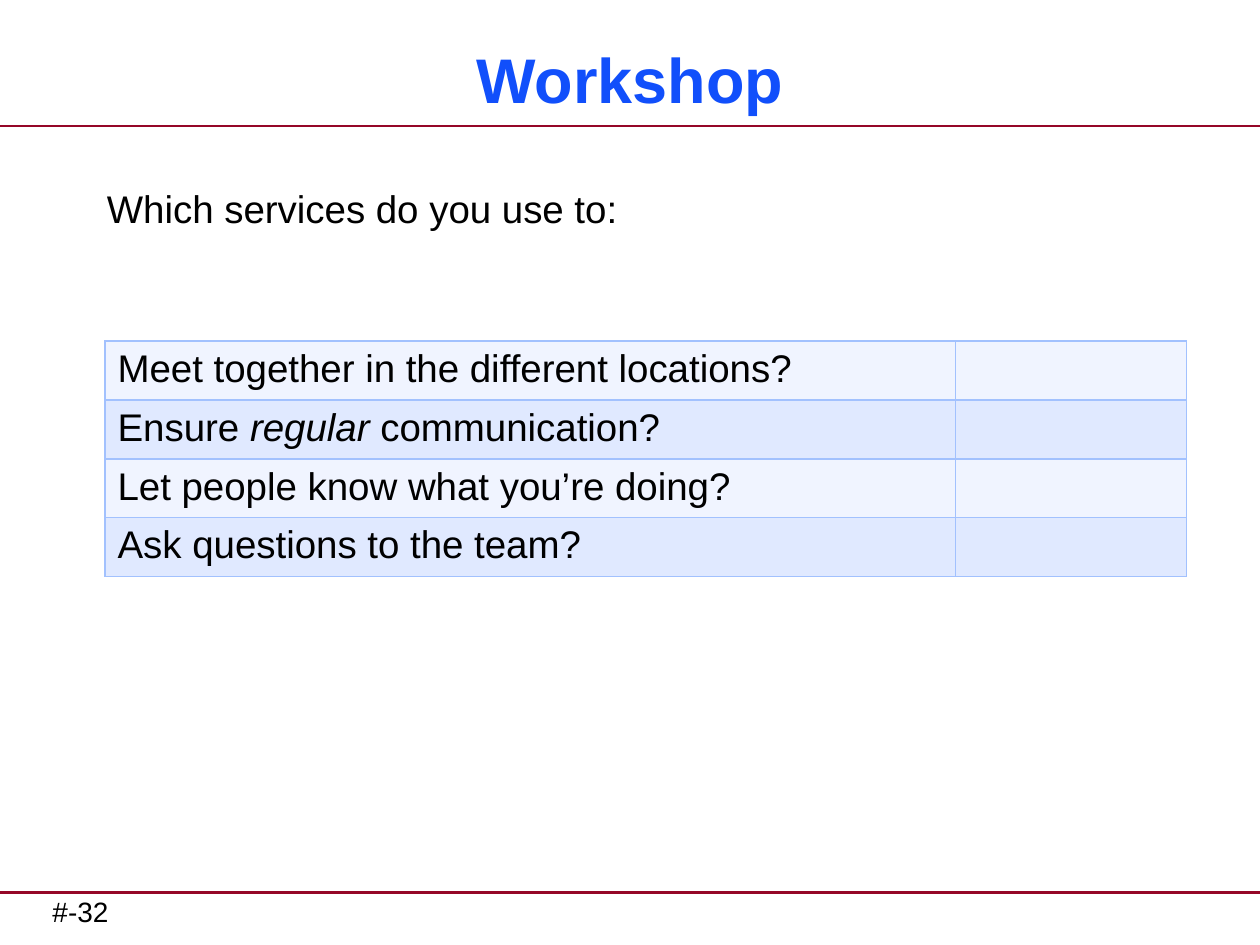
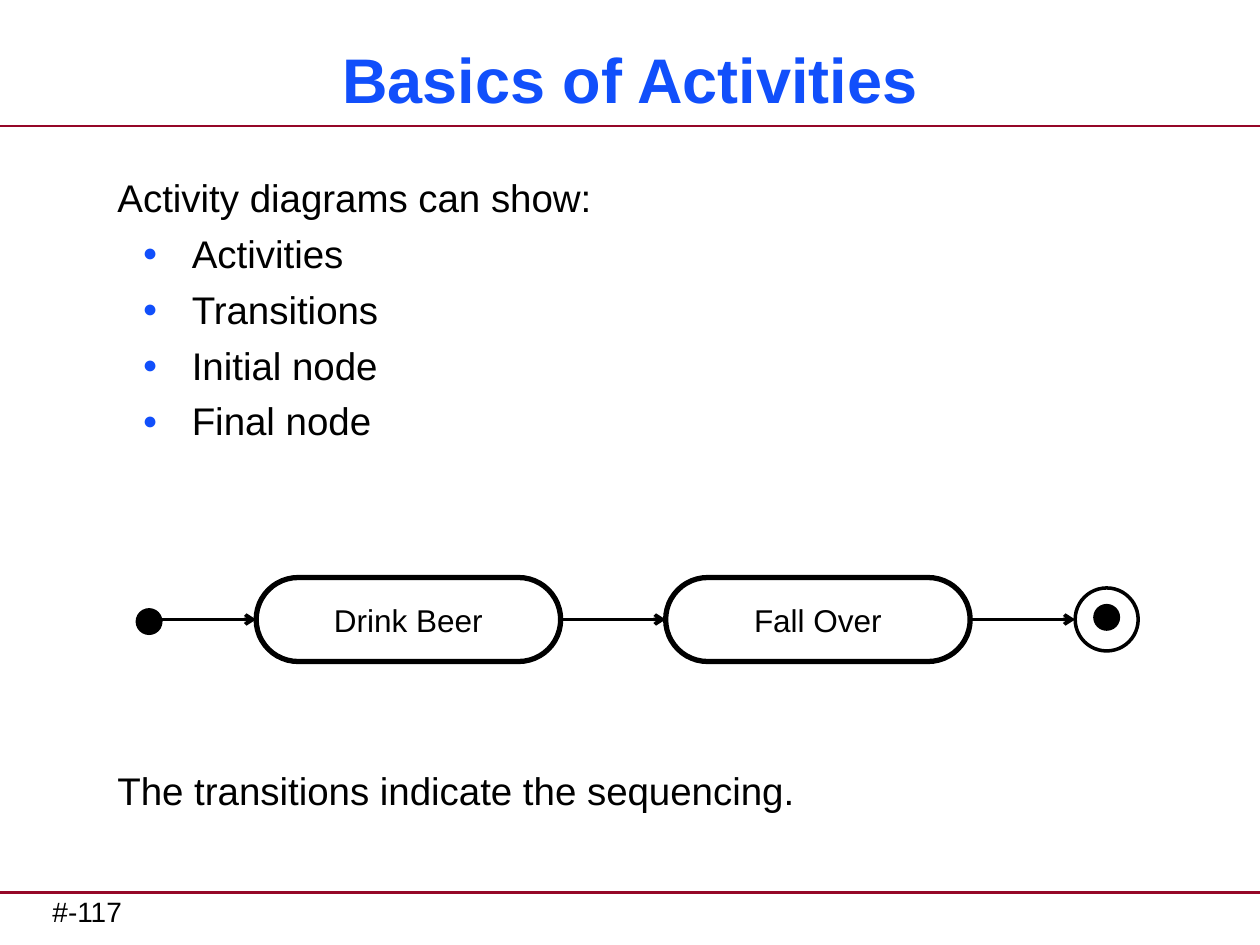
from collections import namedtuple

from lxml import etree
from pptx import Presentation, util as u
from pptx.dml.color import RGBColor
from pptx.enum import shapes, text
from pptx.oxml import ns

COLORS = {
    "ink": "000000",
    "title": "114FFB",
    "rule": "950728",
    "border": "A2C1FE",
    "light_row": "F0F4FF",
    "dark_row": "E0E9FF",
}
FONT = "Arial"
COLUMNS, ROWS = 120, 90  # square grid over the slide
BODY_SIZE, BODY_GAP = 22, 5.5

Box = namedtuple("Box", "x y width height")

deck = Presentation()
deck.slide_width, deck.slide_height = u.Inches(10), u.Inches(7.5)


def grid(*units):
    """Turn grid units into lengths."""
    return [round(deck.slide_width * unit / COLUMNS) for unit in units]


def inside(box, x, y, width, height):
    """Place a box relative to the corner of another one."""
    return Box(box.x + x, box.y + y, width, height)


def color(name):
    return RGBColor.from_string(COLORS[name])


def add_xml(parent, tag, **attributes):
    return etree.SubElement(parent, ns.qn(tag), attributes)


def set_font(para, size, name="ink", bold=False):
    para.font.name, para.font.size = FONT, u.Pt(size)
    para.font.bold, para.font.color.rgb = bold, color(name)


def add_text(page, box, words, size, name="ink", bold=False, side=0.1,
             align=text.PP_ALIGN.LEFT, anchor=text.MSO_ANCHOR.TOP):
    frame = page.shapes.add_textbox(*grid(*box)).text_frame
    frame.word_wrap, frame.vertical_anchor = True, anchor
    frame.margin_left = frame.margin_right = u.Inches(side)
    para = frame.paragraphs[0]
    para.text, para.alignment = words, align
    set_font(para, size, name, bold)
    return frame


def add_line(page, start, end, name, weight, arrow=False):
    line = page.shapes.add_connector(shapes.MSO_CONNECTOR.STRAIGHT, *grid(*start, *end))
    line.line.color.rgb, line.line.width = color(name), u.Pt(weight)
    properties = line.line._get_or_add_ln()
    if arrow:
        add_xml(properties, "a:tailEnd", type="arrow")
    add_xml(properties.getparent(), "a:effectLst")
    return line


def add_outline(page, preset, box, weight, fill=None):
    shape = page.shapes.add_shape(preset, *grid(*box))
    shape.shadow.inherit = False
    shape.line.color.rgb, shape.line.width = color("ink"), u.Pt(weight)
    if fill:
        shape.fill.solid()
        shape.fill.fore_color.rgb = color(fill)
    else:
        shape.fill.background()
    return shape


def add_page(title, number):
    """Blank page with the shared rules, footer and title."""
    page = deck.slides.add_slide(deck.slide_layouts[6])
    for y in (12, 85):
        add_line(page, (0, y), (COLUMNS, y), "rule", 1.5)
    add_text(page, Box(5, 84.6, 58, 4.4), f"#-{number}", 16, side=0)
    add_text(page, Box(2, 3, 116, 9), title, 36, "title", bold=True,
             align=text.PP_ALIGN.CENTER, anchor=text.MSO_ANCHOR.MIDDLE)
    return page


def add_bullets(frame, items):
    for item in items:
        para = frame.add_paragraph()
        para.text, para.space_before = item, u.Pt(BODY_GAP)
        properties = para._p.get_or_add_pPr()
        properties.set("marL", str(u.Inches(0.59)))
        properties.set("indent", str(u.Inches(-0.39)))
        add_xml(add_xml(properties, "a:buClr"), "a:srgbClr", val=COLORS["title"])
        add_xml(properties, "a:buSzPct", val="65000")
        add_xml(properties, "a:buFont", typeface=FONT)
        add_xml(properties, "a:buChar", char="●")
        set_font(para, BODY_SIZE)


def style_cell(cell, fill):
    properties = cell._tc.get_or_add_tcPr()
    for side in "LRTB":
        border = add_xml(properties, f"a:ln{side}", w=str(u.Pt(1)))
        add_xml(add_xml(border, "a:solidFill"), "a:srgbClr", val=COLORS["border"])
    cell.fill.solid()
    cell.fill.fore_color.rgb = color(fill)


def add_questions(page, box, questions, question_share):
    """Table of questions with an empty answer column."""
    table = page.shapes.add_table(len(questions), 2, *grid(*box)).table
    widths = grid(box.width * question_share, box.width * (1 - question_share))
    for column, width in zip(table.columns, widths):
        column.width = width
    for index, question in enumerate(questions):
        for cell in table.rows[index].cells:
            style_cell(cell, ("light_row", "dark_row")[index % 2])
        para = table.cell(index, 0).text_frame.paragraphs[0]
        set_font(para, BODY_SIZE)
        # Every second part is emphasised
        for order, part in enumerate(question.split("*")):
            span = para.add_run()
            span.text = part
            if order % 2:
                span.font.italic = True


def add_activity_flow(page, box, activities):
    """Initial node, activities and final node, joined by arrows."""
    node_width, gap, dot = 29, 10, 2.4
    first, pitch = 11.4, node_width + gap
    middle = box.y + box.height / 2

    # Activities
    nodes = []
    for index, activity in enumerate(activities):
        place = inside(box, first + index * pitch, 0, node_width, box.height)
        node = add_outline(page, shapes.MSO_SHAPE.ROUNDED_RECTANGLE, place, 3)
        node.adjustments[0] = 0.5
        frame = node.text_frame
        frame.word_wrap, frame.vertical_anchor = False, text.MSO_ANCHOR.MIDDLE
        para = frame.paragraphs[0]
        para.text, para.alignment = activity, text.PP_ALIGN.CENTER
        set_font(para, 18)
        nodes.append(node)

    # Transitions
    for index in range(len(nodes) + 1):
        end = box.x + first + index * pitch
        arrow = add_line(page, (end - gap, middle), (end, middle), "ink", 2, arrow=True)
        if index > 0:
            arrow.begin_connect(nodes[index - 1], 3)
        if index < len(nodes):
            arrow.end_connect(nodes[index], 1)

    # Initial and final nodes
    final = first + len(nodes) * pitch
    oval = shapes.MSO_SHAPE.OVAL
    for x, y in ((0, 3), (final + 1.8, 2.6)):
        add_outline(page, oval, inside(box, x, y, dot, dot), 1, "ink")
    add_outline(page, oval, inside(box, final, 1, 6, 6), 2)


def build_workshop():
    page = add_page("Workshop", 32)
    add_text(page, Box(9, 17, 106, 8), "Which services do you use to:", BODY_SIZE)
    add_questions(page, Box(10, 32.5, 103, 21.2), [
        "Meet together in the different locations?",
        "Ensure *regular *communication?",
        "Let people know what you’re doing?",
        "Ask questions to the team?",
    ], 81 / 103)


def build_activities():
    page = add_page("Basics of Activities", 117)
    frame = add_text(page, Box(10, 16, 106, 30), "Activity diagrams can show:", BODY_SIZE)
    add_bullets(frame, ["Activities", "Transitions", "Initial node", "Final node"])
    add_activity_flow(page, Box(13, 55, 95.4, 8), ["Drink Beer", "Fall Over"])
    add_text(page, Box(10, 72.5, 106, 8), "The transitions indicate the sequencing.", BODY_SIZE)


if __name__ == "__main__":
    build_workshop()
    build_activities()
    deck.save("out.pptx")
